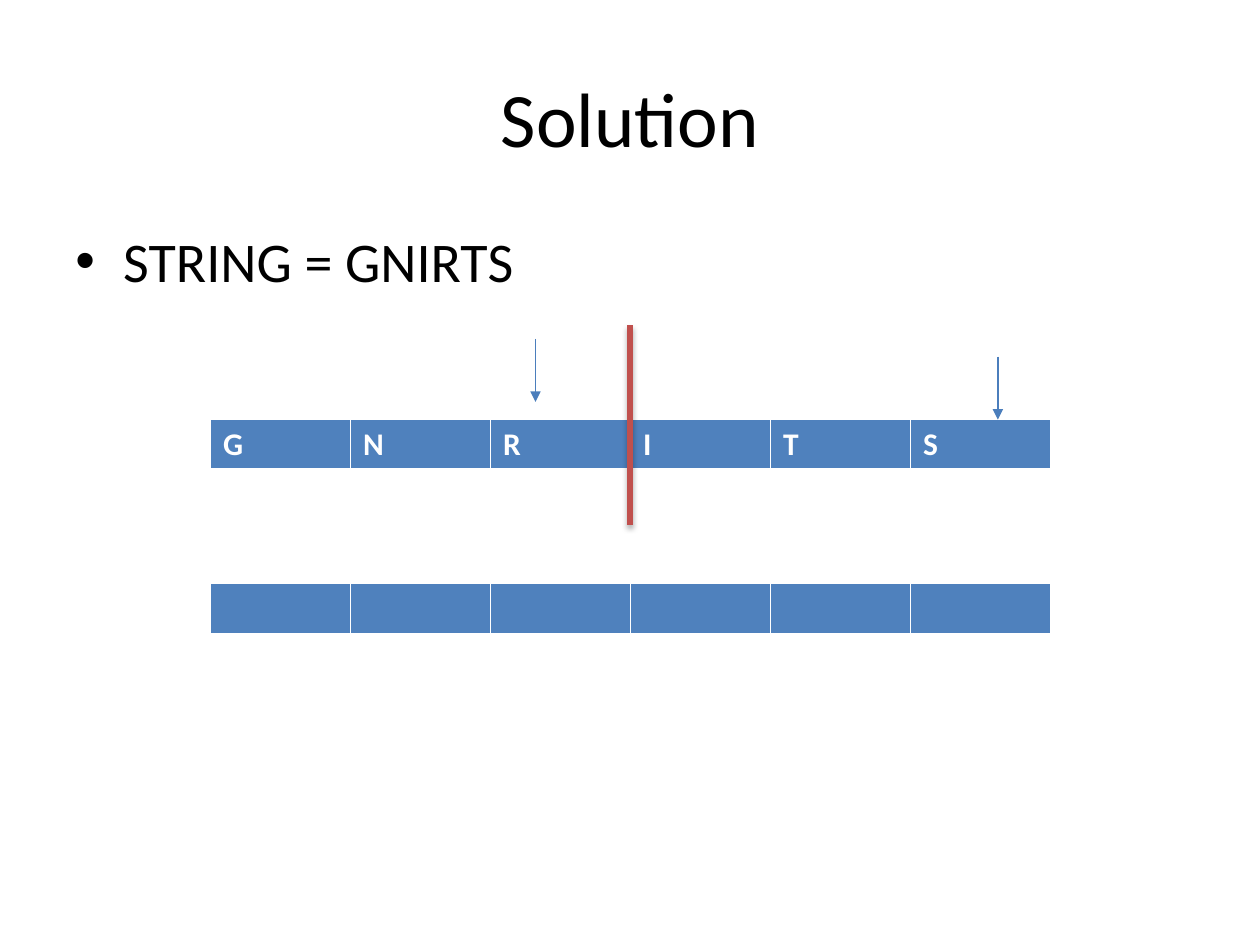
from lxml.etree import SubElement as Sub
from pptx import Presentation
from pptx.dml.color import RGBColor as Rgb
from pptx.enum.shapes import MSO_CONNECTOR as Link
from pptx.enum.text import MSO_ANCHOR as Anchor, PP_ALIGN as Align
from pptx.oxml.ns import qn
from pptx.util import Inches, Pt

BLACK, WHITE, BLUE, RED, EDGE = "000000", "FFFFFF", "4F81BD", "C0504D", "4B7EBC"
LEFT, WIDE, COLS = 1.67, 6.67, 6


def tint(fill, code):
    fill.solid()
    fill.fore_color.rgb = Rgb.from_string(code)


def style(para, size, code, bold=False):
    form = {"name": "Calibri", "size": Pt(size), "bold": bold}
    for key, val in form.items():
        setattr(para.font, key, val)
    tint(para.font.fill, code)


def add_text(slide, box, text, size, anchor, align, mark=None):
    frame = slide.shapes.add_textbox(*map(Inches, box)).text_frame
    form = {"word_wrap": True, "vertical_anchor": anchor}
    for key, val in form.items():
        setattr(frame, key, val)
    para = frame.paragraphs[0]
    para.text = text
    para.alignment = align
    if mark:
        props = para._p.get_or_add_pPr()
        props.set("marL", str(Inches(0.38)))
        props.set("indent", str(-Inches(0.38)))
        Sub(props, qn("a:buFont"), typeface="Arial")
        Sub(props, qn("a:buChar"), char=mark)
    style(para, size, BLACK)


def add_edge(cell, side, width):
    line = Sub(cell._tc.get_or_add_tcPr(), qn("a:ln" + side), w=str(Pt(width)))
    fill = Sub(line, qn("a:solidFill"))
    Sub(fill, qn("a:srgbClr"), val=WHITE)


def add_row(slide, top, height, words):
    box = map(Inches, (LEFT, top, WIDE, height))
    table = slide.shapes.add_table(1, COLS, *box).table
    for cell, word in zip(table.rows[0].cells, words):
        cell.text = word
        style(cell.text_frame.paragraphs[0], 18, WHITE, True)
        for side, width in {"L": 1, "R": 1, "T": 1, "B": 3}.items():
            add_edge(cell, side, width)
        tint(cell.fill, BLUE)


def add_line(slide, x, top, end, code, width):
    ends = map(Inches, (x, top, x, end))
    line = slide.shapes.add_connector(Link.STRAIGHT, *ends)
    line.line.width = Pt(width)
    tint(line.line.fill, code)
    return line, Sub(line._element.spPr, qn("a:effectLst"))


def add_split(slide, x, top, end):
    line, fx = add_line(slide, x, top, end, RED, 3)
    form = {"blurRad": Pt(3.1), "dist": Pt(1.8), "dir": 90 * 60000, "rotWithShape": 0}
    shade = Sub(fx, qn("a:outerShdw"))
    for key, val in form.items():
        shade.set(key, str(val))
    hue = Sub(shade, qn("a:srgbClr"), val=BLACK)
    Sub(hue, qn("a:alpha"), val="35000")


def add_arrow(slide, x, top):
    line, fx = add_line(slide, x, top, top + 0.5, EDGE, 0.75)
    Sub(line.line._get_or_add_ln(), qn("a:tailEnd"), type="triangle")


def main():
    deck = Presentation()
    deck.slide_width, deck.slide_height = Inches(10), Inches(7.5)
    slide = deck.slides.add_slide(deck.slide_layouts[6])
    add_text(slide, (0.5, 0.3, 9, 1.25), "Solution", 44, Anchor.MIDDLE, Align.CENTER)
    add_text(slide, (0.5, 1.75, 9, 4.95), "STRING = GNIRTS", 32, Anchor.TOP, Align.LEFT, "•")
    add_row(slide, 3.33, 0.4, "GNRITS")
    add_split(slide, 5, 2.58, 4.17)
    add_row(slide, 4.63, 0.41, [""] * COLS)
    add_arrow(slide, 7.92, 2.83)
    add_arrow(slide, 4.25, 2.69)
    deck.save("out.pptx")


if __name__ == "__main__":
    main()
